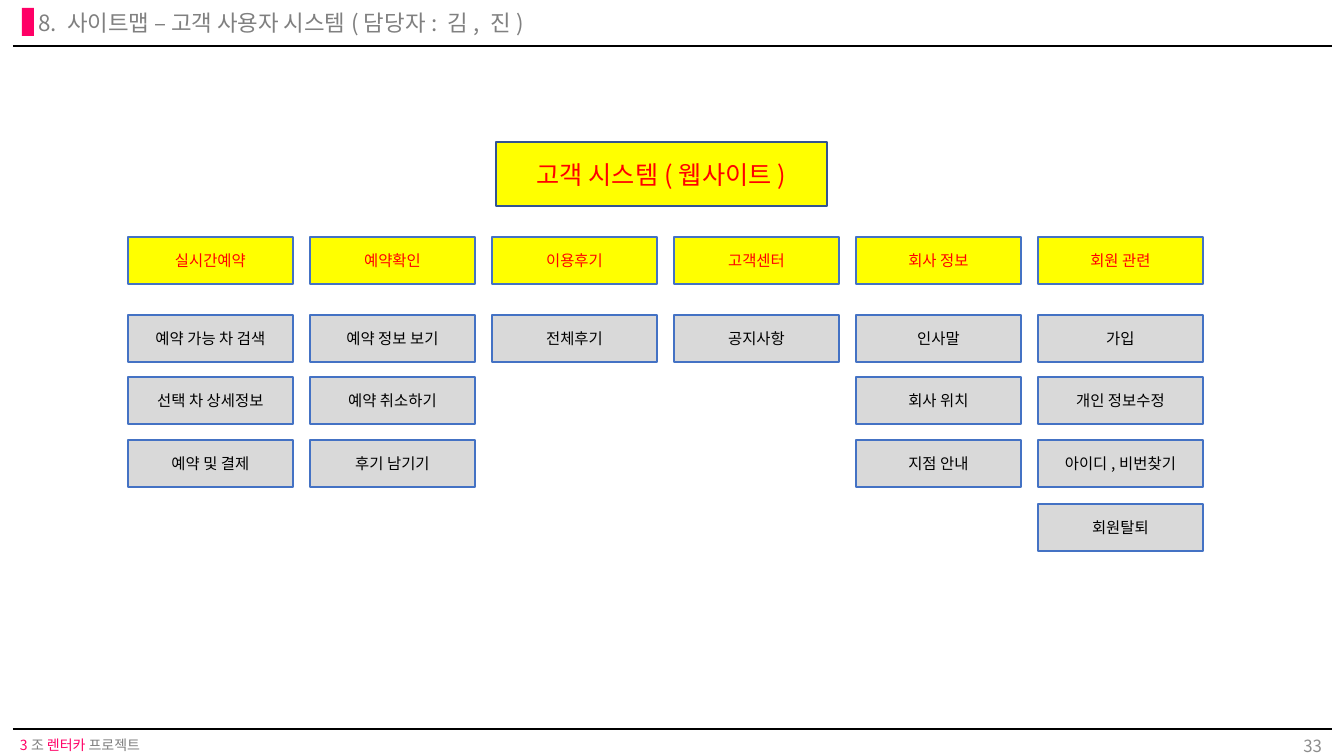
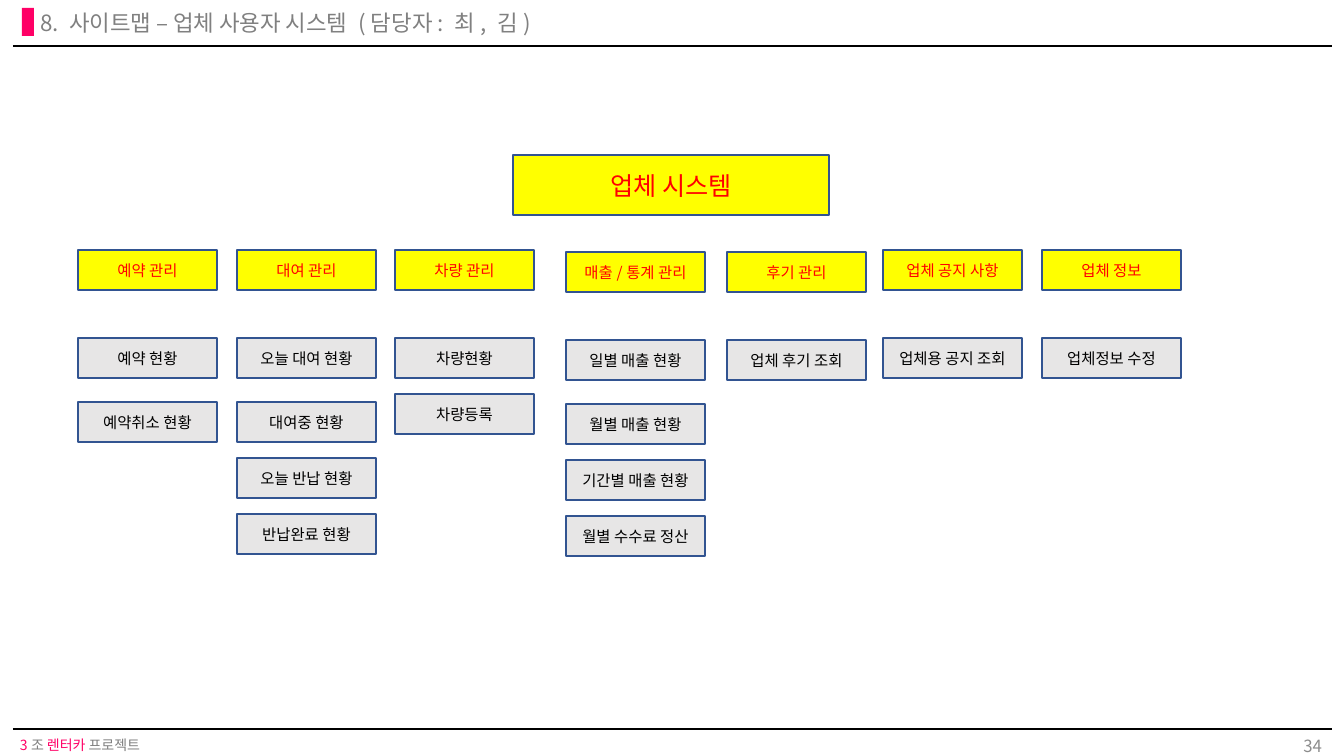
from lxml.etree import SubElement
from pptx import Presentation
from pptx.dml.color import RGBColor
from pptx.enum.shapes import MSO_CONNECTOR as Connector, MSO_SHAPE as Shape
from pptx.enum.text import MSO_ANCHOR as Anchor, MSO_AUTO_SIZE as AutoSize, PP_ALIGN as Align
from pptx.oxml.ns import qn
from pptx.util import Emu, Pt

SCALE = 914400 / 100.8
FONT = "Noto Sans CJK KR"
PINK = RGBColor(0xFF, 0x00, 0x66)
GRAY = RGBColor(0x80, 0x80, 0x80)
NUMBER_GRAY = RGBColor(0x8C, 0x8C, 0x8C)
BLACK = RGBColor(0x00, 0x00, 0x00)
YELLOW = RGBColor(0xFF, 0xFF, 0x00)
RED = RGBColor(0xFF, 0x00, 0x00)
BLUE = RGBColor(0x44, 0x72, 0xC4)
NAVY = RGBColor(0x32, 0x54, 0x91)
SILVER = RGBColor(0xD9, 0xD9, 0xD9)
PALE = RGBColor(0xE7, 0xE6, 0xE6)

FOOTER = [("3", PINK), ("조 ", GRAY), ("렌터카", PINK), (" 프로젝트", GRAY)]
RULE_TOPS = (46, 729)

CUSTOMER_ROWS = (315, 377, 440, 504)
CUSTOMER_LEFTS = range(128, 1200, 182)
CUSTOMER_MENU = [
    ("실시간예약", ["예약 가능 차 검색", "선택 차 상세정보", "예약 및 결제"]),
    ("예약확인", ["예약 정보 보기", "예약 취소하기", "후기 남기기"]),
    ("이용후기", ["전체후기"]),
    ("고객센터", ["공지사항"]),
    ("회사 정보", ["인사말", "회사 위치", "지점 안내"]),
    ("회원 관련", ["가입", "개인 정보수정", "아이디,비번찾기", "회원탈퇴"]),
]

VENDOR_ROWS = (338, 402, 458, 514)
VEHICLE_ROWS = (338, 394)
VENDOR_COLUMNS = [
    (78, 250, VENDOR_ROWS, "예약 관리", ["예약 현황", "예약취소 현황"]),
    (237, 250, VENDOR_ROWS, "대여 관리",
     ["오늘 대여 현황", "대여중 현황", "오늘 반납 현황", "반납완료 현황"]),
    (395, 250, VEHICLE_ROWS, "차량 관리", ["차량현황", "차량등록"]),
    (566, 252, [top + 2 for top in VENDOR_ROWS], "매출/통계 관리",
     ["일별 매출 현황", "월별 매출 현황", "기간별 매출 현황", "월별 수수료 정산"]),
    (727, 252, [340], "후기 관리", ["업체 후기 조회"]),
    (883, 250, VENDOR_ROWS, "업체 공지 사항", ["업체용 공지 조회"]),
    (1042, 250, VENDOR_ROWS, "업체 정보", ["업체정보 수정"]),
]

SITEMAPS = [
    {
        "title": "8. 사이트맵 – 고객 사용자 시스템(담당자: 김, 진)",
        "title_box": (28, 7, 662, 35),
        "number": "33",
        "root": "고객 시스템(웹사이트)",
        "root_box": (496, 142, 331, 64),
        "box_size": (165, 47),
        "line": BLUE,
        "fill": SILVER,
        "columns": [(left, 237, CUSTOMER_ROWS, header, items)
                    for left, (header, items) in zip(CUSTOMER_LEFTS, CUSTOMER_MENU)],
    },
    {
        "title": "8. 사이트맵 – 업체 사용자 시스템 (담당자: 최, 김)",
        "title_box": (30, 7, 577, 35),
        "number": "34",
        "root": "업체 시스템",
        "root_box": (513, 155, 316, 60),
        "box_size": (139, 40),
        "line": NAVY,
        "fill": PALE,
        "columns": VENDOR_COLUMNS,
    },
]


def px(value):
    return Emu(round(value * SCALE))


def format_run(run, size, color):
    run.font.name = FONT
    run.font.size = Pt(size)
    run.font.color.rgb = color
    SubElement(run.font._element, qn("a:ea"), typeface=FONT)


def write(shape, runs, size, align, anchor, spacing=1.0):
    frame = shape.text_frame
    frame.word_wrap = True
    frame.auto_size = AutoSize.NONE
    frame.vertical_anchor = anchor
    paragraph = frame.paragraphs[0]
    paragraph.alignment = align
    paragraph.line_spacing = spacing
    for text, color in runs:
        run = paragraph.add_run()
        run.text = text
        format_run(run, size, color)


def add_rectangle(slide, box, fill, line=None):
    shape = slide.shapes.add_shape(Shape.RECTANGLE, *map(px, box))
    shape.shadow.inherit = False
    shape.fill.solid()
    shape.fill.fore_color.rgb = fill
    if line is None:
        shape.line.fill.background()
    else:
        shape.line.color.rgb = line
        shape.line.width = Pt(1)
    return shape


def add_box(slide, box, text, size, fill, line, color):
    shape = add_rectangle(slide, box, fill, line)
    write(shape, [(text, color)], size, Align.CENTER, Anchor.MIDDLE)


def add_rule(slide, top):
    rule = slide.shapes.add_connector(Connector.STRAIGHT, px(13), px(top), px(1332), px(top))
    rule.line.color.rgb = BLACK
    rule.line.width = Pt(1.5)
    SubElement(rule.element.spPr, qn("a:effectLst"))
    return rule


def add_footer(slide):
    footer = slide.shapes.add_textbox(px(13), px(734), px(310), px(23))
    write(footer, FOOTER, 10, Align.LEFT, Anchor.TOP, 0.9)
    frame = footer.text_frame
    frame.margin_left = frame.margin_right = px(7)
    frame.margin_top = frame.margin_bottom = px(4)
    return footer


def decorate_layout(layout, slide):
    bands = [add_rule(slide, top) for top in RULE_TOPS]
    bands += [add_footer(slide), add_rectangle(slide, (22, 8, 12, 28), PINK)]
    for band in bands:
        layout.shapes.element.append(band.element)


def fill_slide(slide, sitemap):
    title = slide.shapes.title
    title.left, title.top, title.width, title.height = map(px, sitemap["title_box"])
    write(title, [(sitemap["title"], GRAY)], 16, Align.LEFT, Anchor.TOP, 0.9)

    number = slide.shapes.add_textbox(px(1268), px(728), px(64), px(35))
    write(number, [(sitemap["number"], NUMBER_GRAY)], 12, Align.RIGHT, Anchor.MIDDLE)

    add_box(slide, sitemap["root_box"], sitemap["root"], 18, YELLOW, NAVY, RED)
    size, line = sitemap["box_size"], sitemap["line"]
    for left, header_top, row_tops, header, items in sitemap["columns"]:
        add_box(slide, (left, header_top, *size), header, 11, YELLOW, line, RED)
        for top, item in zip(row_tops, items):
            add_box(slide, (left, top, *size), item, 11, sitemap["fill"], line, BLACK)


def main():
    presentation = Presentation()
    presentation.slide_width = px(1344)
    presentation.slide_height = px(756)
    layout = presentation.slide_layouts[5]
    slides = [presentation.slides.add_slide(layout) for _ in SITEMAPS]
    decorate_layout(layout, slides[0])
    for slide, sitemap in zip(slides, SITEMAPS):
        fill_slide(slide, sitemap)
    presentation.save("out.pptx")


if __name__ == "__main__":
    main()
